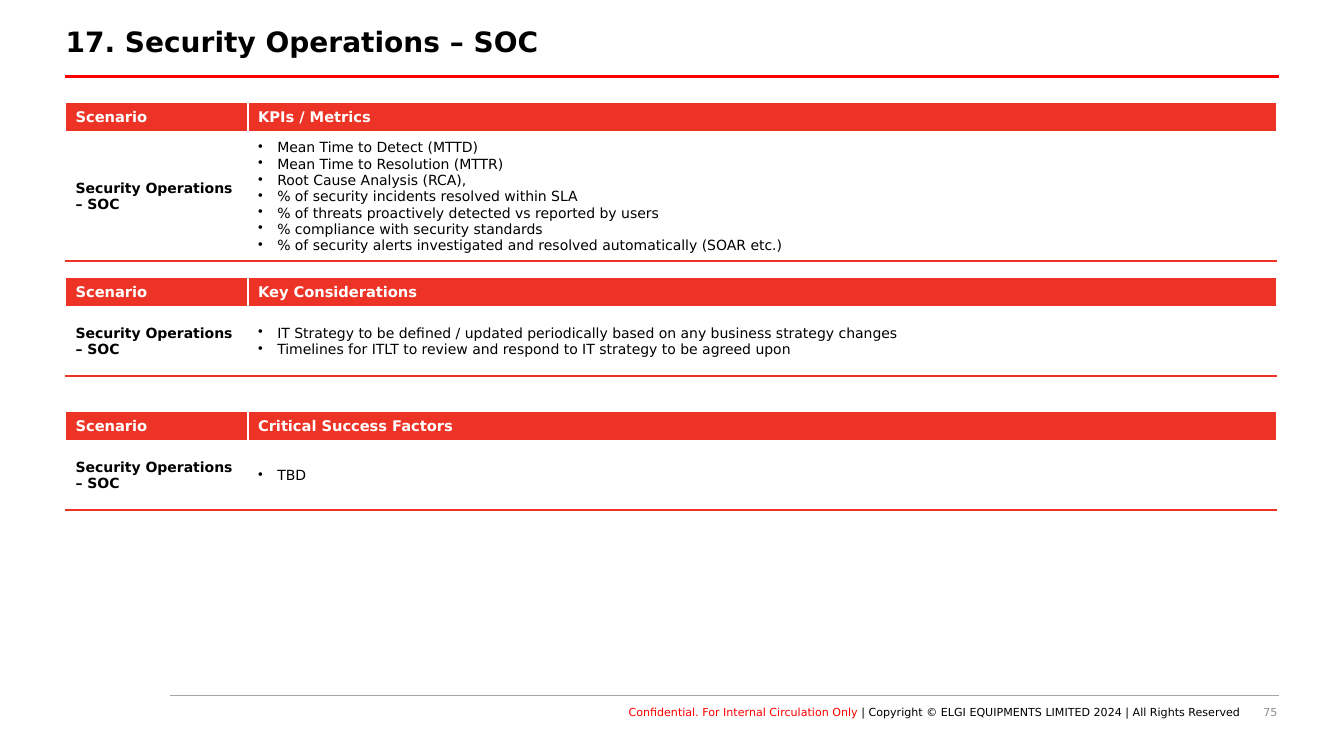
import pptx
import pptx.util
import pptx.dml.color
import pptx.enum.shapes
import pptx.enum.text
import pptx.oxml
import pptx.oxml.ns

Inches = pptx.util.Inches
Pt = pptx.util.Pt
RGBColor = pptx.dml.color.RGBColor
ALIGN = pptx.enum.text.PP_ALIGN
ANCHOR = pptx.enum.text.MSO_ANCHOR

FONT = "DejaVu Sans"
BLACK = RGBColor(0x00, 0x00, 0x00)
WHITE = RGBColor(0xFF, 0xFF, 0xFF)
RED = RGBColor(0xFF, 0x00, 0x00)
TABLE_RED = RGBColor(0xED, 0x33, 0x26)
RULE_GREY = RGBColor(0xA6, 0xA6, 0xA6)
NUMBER_GREY = RGBColor(0x8C, 0x8C, 0x8C)

LEFT, RIGHT, WIDTH = 0.65, 12.69, 12.01
SCENARIO_WIDTH, HEADER_HEIGHT = 1.81, 0.3
BULLET_INDENT = 0.19
SCENARIO = "Security Operations – SOC"

# Top, body row height, heading and bullets of each table
SECTIONS = [
    (1.02, 1.23, "KPIs / Metrics", [
        "Mean Time to Detect (MTTD)",
        "Mean Time to Resolution (MTTR)",
        "Root Cause Analysis (RCA),",
        "% of security incidents resolved within SLA",
        "% of threats proactively detected vs reported by users",
        "% compliance with security standards",
        "% of security alerts investigated and resolved automatically (SOAR etc.)",
    ]),
    (2.75, 0.68, "Key Considerations", [
        "IT Strategy to be defined / updated periodically based on any business strategy changes",
        "Timelines for ITLT to review and respond to IT strategy to be agreed upon",
    ]),
    (4.08, 0.68, "Critical Success Factors", ["TBD"]),
]


def format_run(r, size, color, bold=False):
    r.font.name = FONT
    r.font.size = Pt(size)
    r.font.color.rgb = color
    r.font.bold = bold


def add_rule(s, left, top, color, weight):
    """Draw a horizontal line from left to the right margin."""
    line = s.shapes.add_connector(
        pptx.enum.shapes.MSO_CONNECTOR.STRAIGHT,
        Inches(left), Inches(top), Inches(RIGHT), Inches(top))
    line.line.color.rgb = color
    line.line.width = Pt(weight)
    pptx.oxml.ns.qn("a:effectLst")
    line._element.spPr.append(pptx.oxml.parse_xml(
        f'<a:effectLst {pptx.oxml.ns.nsdecls("a")}/>'))


def add_title(s, left, top, width, height):
    sp = s.shapes.title
    sp.left, sp.top, sp.width, sp.height = map(Inches, (left, top, width, height))
    tf = sp.text_frame
    tf.text = "17. Security Operations – SOC"
    tf.margin_left = 0
    tf.vertical_anchor = ANCHOR.TOP
    tf.auto_size = pptx.enum.text.MSO_AUTO_SIZE.NONE
    p = tf.paragraphs[0]
    p.alignment = ALIGN.LEFT
    p.line_spacing = 0.9
    p.space_before = Pt(0)
    format_run(p.runs[0], 20, BLACK, True)
    add_rule(s, 0.64, 0.76, RED, 2.25)


def set_borders(cell, bottom_color, bottom_weight):
    """Give a cell white 1 pt borders and its own bottom border."""
    tcPr = cell._tc.get_or_add_tcPr()
    for side in "LRTB":
        color, weight = (bottom_color, bottom_weight) if side == "B" else (WHITE, 1)
        tcPr.append(pptx.oxml.parse_xml(
            f'<a:ln{side} {pptx.oxml.ns.nsdecls("a")} w="{Pt(weight)}">'
            f'<a:solidFill><a:srgbClr val="{color}"/></a:solidFill></a:ln{side}>'))


def add_bullet(p):
    pPr = p._p.get_or_add_pPr()
    pPr.set("marL", str(Inches(BULLET_INDENT)))
    pPr.set("indent", str(-Inches(BULLET_INDENT)))
    pPr.append(pptx.oxml.parse_xml(
        f'<a:buChar {pptx.oxml.ns.nsdecls("a")} char="•"/>'))


def add_section(s, left, top, width, body_height, heading, bullets):
    table = s.shapes.add_table(
        2, 2, Inches(left), Inches(top), Inches(width),
        Inches(HEADER_HEIGHT + body_height)).table
    table.first_row = table.horz_banding = False
    table.columns[0].width = Inches(SCENARIO_WIDTH)
    table.columns[1].width = Inches(width - SCENARIO_WIDTH)
    table.rows[0].height = Inches(HEADER_HEIGHT)
    table.rows[1].height = Inches(body_height)

    rows = [("Scenario", heading), (SCENARIO, "\n".join(bullets))]
    for i, texts in enumerate(rows):
        for j, text in enumerate(texts):
            cell = table.cell(i, j)
            cell.text_frame.text = text
            cell.vertical_anchor = ANCHOR.MIDDLE
            is_header = i == 0
            if is_header:
                set_borders(cell, WHITE, 3)
                cell.fill.solid()
                cell.fill.fore_color.rgb = TABLE_RED
            else:
                set_borders(cell, TABLE_RED, 1)
                cell.fill.background()
            is_list = not is_header and j == 1
            for p in cell.text_frame.paragraphs:
                if is_list:
                    add_bullet(p)
                format_run(p.runs[0], 10.5 if is_header else 10,
                           WHITE if is_header else BLACK, not is_list)


def add_footer_text(s, left, top, width, height, parts):
    """Add a right-aligned line made of (text, colour) parts."""
    sp = s.shapes.add_textbox(*map(Inches, (left, top, width, height)))
    tf = sp.text_frame
    tf.word_wrap = True
    tf.margin_left = tf.margin_top = tf.margin_right = tf.margin_bottom = 0
    p = tf.paragraphs[0]
    p.alignment = ALIGN.RIGHT
    for text, color in parts:
        r = p.add_run()
        r.text = text
        format_run(r, 7.9, color)


def add_footer(s, top):
    add_rule(s, 1.69, top, RULE_GREY, 0.5)
    add_footer_text(s, 2.46, top + 0.1, 9.84, 0.2, [
        ("Conﬁdential. For Internal Circulation Only ", RED),
        ("| Copyright © ELGI EQUIPMENTS LIMITED 2024 | All Rights Reserved", BLACK),
    ])
    add_footer_text(s, 9.67, top + 0.1, 3, 0.2, [("75", NUMBER_GREY)])


def main():
    prs = pptx.Presentation()
    prs.slide_width = Inches(13.33)
    prs.slide_height = Inches(7.5)
    s = prs.slides.add_slide(prs.slide_layouts.get_by_name("Title Only"))
    add_footer(s, 6.9)
    add_title(s, LEFT, 0.23, WIDTH, 0.41)
    for top, body_height, heading, bullets in SECTIONS:
        add_section(s, LEFT, top, WIDTH, body_height, heading, bullets)
    prs.save("out.pptx")


if __name__ == "__main__":
    main()
